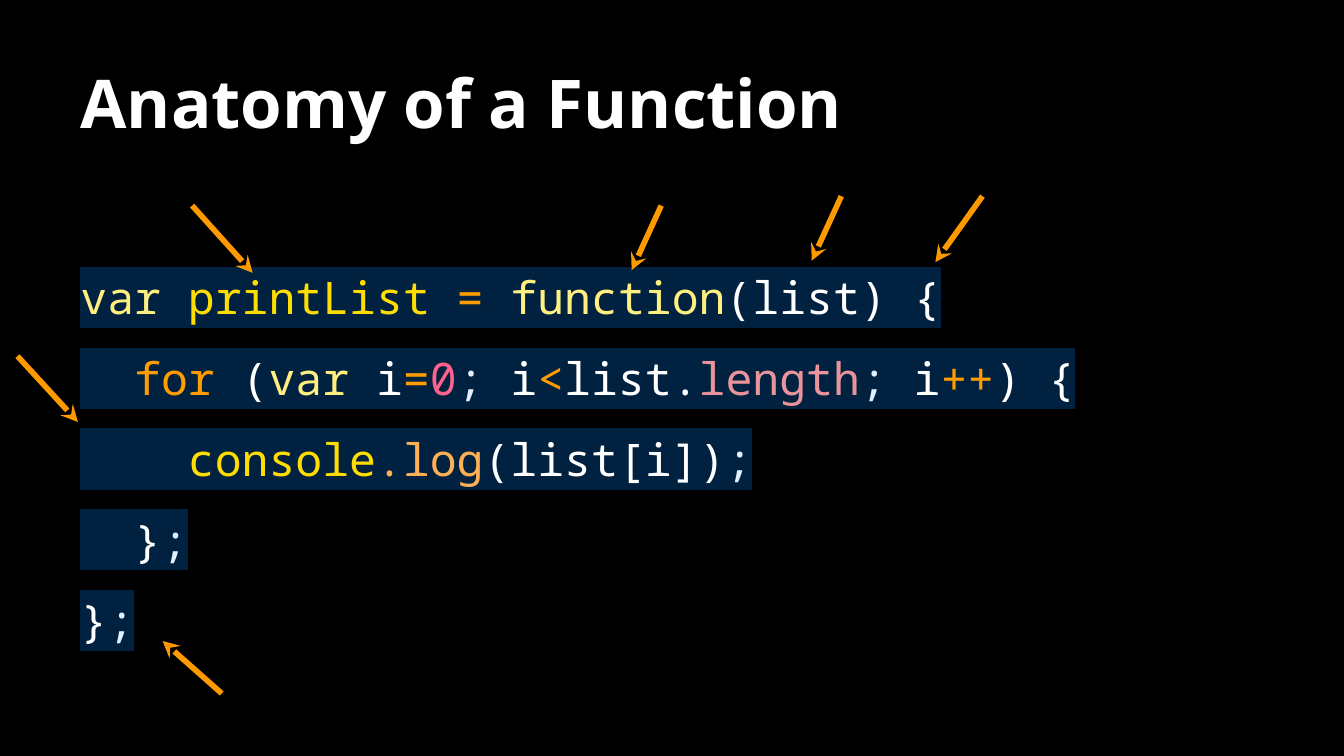
from dataclasses import dataclass

from lxml import etree
from pptx import Presentation
from pptx.dml.color import RGBColor
from pptx.enum.shapes import MSO_CONNECTOR
from pptx.enum.text import MSO_ANCHOR, MSO_AUTO_SIZE, PP_ALIGN
from pptx.oxml.ns import qn
from pptx.util import Inches, Pt

STRAIGHT = MSO_CONNECTOR.STRAIGHT
BOTTOM, TOP = MSO_ANCHOR.BOTTOM, MSO_ANCHOR.TOP
LEFT = PP_ALIGN.LEFT
NO_AUTOFIT = MSO_AUTO_SIZE.NONE
TITLE_ONLY = 5
SLIDE_WIDTH = Inches(10)
SLIDE_HEIGHT = SLIDE_WIDTH * 9 // 16


@dataclass(frozen=True)
class Theme:
    background: str = "000000"
    plain: str = "FFFFFF"
    keyword: str = "FFEE80"
    name: str = "FFDD00"
    operator: str = "FF9D00"
    number: str = "FF628C"
    punctuation: str = "E1EFFF"
    member: str = "EB939A"
    method: str = "FFB054"
    highlight: str = "002240"
    arrow: str = "FF9900"
    title_font: str = "Open Sans"
    code_font: str = "Noto Sans Mono"
    title_size: float = 36
    code_size: float = 24
    code_pitch: float = 43.25
    arrow_width: float = 3


@dataclass(frozen=True)
class Token:
    text: str
    color: str


@dataclass(frozen=True)
class Arrow:
    start: tuple[float, float]
    end: tuple[float, float]


THEME = Theme()
SPACE = Token(" ", THEME.plain)
VAR = Token("var", THEME.keyword)
EQUALS = Token("=", THEME.operator)
SEMICOLON = Token(";", THEME.punctuation)

CODE_LINES = [
    [VAR, SPACE, Token("printList", THEME.name), SPACE, EQUALS, SPACE,
     Token("function", THEME.keyword), Token("(list) {", THEME.plain)],
    [Token("  ", THEME.plain), Token("for", THEME.operator),
     Token(" (", THEME.plain), VAR, Token(" i", THEME.plain), EQUALS,
     Token("0", THEME.number), SEMICOLON, Token(" i", THEME.plain),
     Token("<", THEME.operator), Token("list.", THEME.plain),
     Token("length", THEME.member), SEMICOLON, Token(" i", THEME.plain),
     Token("++", THEME.operator), Token(") {", THEME.plain)],
    [Token("    ", THEME.plain), Token("console", THEME.name),
     Token(".log", THEME.method), Token("(list[i])", THEME.plain), SEMICOLON],
    [Token("  }", THEME.plain), SEMICOLON],
    [Token("}", THEME.plain), SEMICOLON],
]

ARROWS = [
    Arrow((1.43, 1.53), (1.88, 2.03)),  # name
    Arrow((4.92, 1.53), (4.70, 2.01)),  # function keyword
    Arrow((6.26, 1.46), (6.04, 1.94)),  # parameter
    Arrow((7.31, 1.46), (6.96, 1.95)),  # opening brace
    Arrow((1.65, 5.16), (1.21, 4.77)),  # closing brace
    Arrow((0.13, 2.65), (0.58, 3.14)),  # body
]


def apply_format(target, values: dict) -> None:
    for attribute, value in values.items():
        setattr(target, attribute, value)


def format_frame(frame, anchor, margin_top: float = 0.1) -> None:
    apply_format(frame, {
        "word_wrap": True, "auto_size": NO_AUTOFIT, "vertical_anchor": anchor,
        "margin_left": Inches(0.1), "margin_right": Inches(0.1),
        "margin_top": Inches(margin_top), "margin_bottom": Inches(0.1),
    })


def format_title(title) -> None:
    apply_format(title, {"left": Inches(0.5), "top": Inches(0.22),
                         "width": Inches(9), "height": Inches(0.94)})
    format_frame(title.text_frame, BOTTOM)
    title.text_frame.text = "Anatomy of a Function"
    paragraph = title.text_frame.paragraphs[0]
    paragraph.alignment = LEFT
    apply_format(paragraph.runs[0].font, {
        "name": THEME.title_font, "size": Pt(THEME.title_size), "bold": True})
    paragraph.runs[0].font.color.rgb = RGBColor.from_string(THEME.plain)


def add_token(paragraph, token: Token) -> None:
    run = paragraph.add_run()
    run.text = token.text
    run.font.color.rgb = RGBColor.from_string(token.color)
    # The highlight belongs between the fill and the font name
    highlight = etree.SubElement(run.font._element, qn("a:highlight"))
    etree.SubElement(highlight, qn("a:srgbClr"), val=THEME.highlight)
    apply_format(run.font, {"name": THEME.code_font,
                            "size": Pt(THEME.code_size)})


def add_code(slide, lines: list[list[Token]]) -> None:
    box = slide.shapes.add_textbox(
        Inches(0.5), Inches(1.31), Inches(9), Inches(4.07))
    format_frame(box.text_frame, TOP, margin_top=0.5)
    paragraph = box.text_frame.paragraphs[0]
    apply_format(paragraph, {"alignment": LEFT,
                             "line_spacing": Pt(THEME.code_pitch)})
    for index, line in enumerate(lines):
        if index:
            paragraph.add_line_break()
        for token in line:
            add_token(paragraph, token)


def add_arrow(slide, arrow: Arrow) -> None:
    points = [Inches(value) for value in (*arrow.start, *arrow.end)]
    connector = slide.shapes.add_connector(STRAIGHT, *points)
    connector.line.width = Pt(THEME.arrow_width)
    connector.line.color.rgb = RGBColor.from_string(THEME.arrow)
    properties = connector._element.spPr
    etree.SubElement(properties.find(qn("a:ln")), qn("a:tailEnd"),
                     type="stealth")
    etree.SubElement(properties, qn("a:effectLst"))


def main() -> None:
    presentation = Presentation()
    apply_format(presentation, {"slide_width": SLIDE_WIDTH,
                                "slide_height": SLIDE_HEIGHT})
    slide = presentation.slides.add_slide(
        presentation.slide_layouts[TITLE_ONLY])
    slide.background.fill.solid()
    slide.background.fill.fore_color.rgb = RGBColor.from_string(
        THEME.background)

    # Title and code
    format_title(slide.shapes.title)
    add_code(slide, CODE_LINES)

    # Pointers to the parts of the function
    for arrow in ARROWS:
        add_arrow(slide, arrow)

    presentation.save("out.pptx")


if __name__ == "__main__":
    main()
